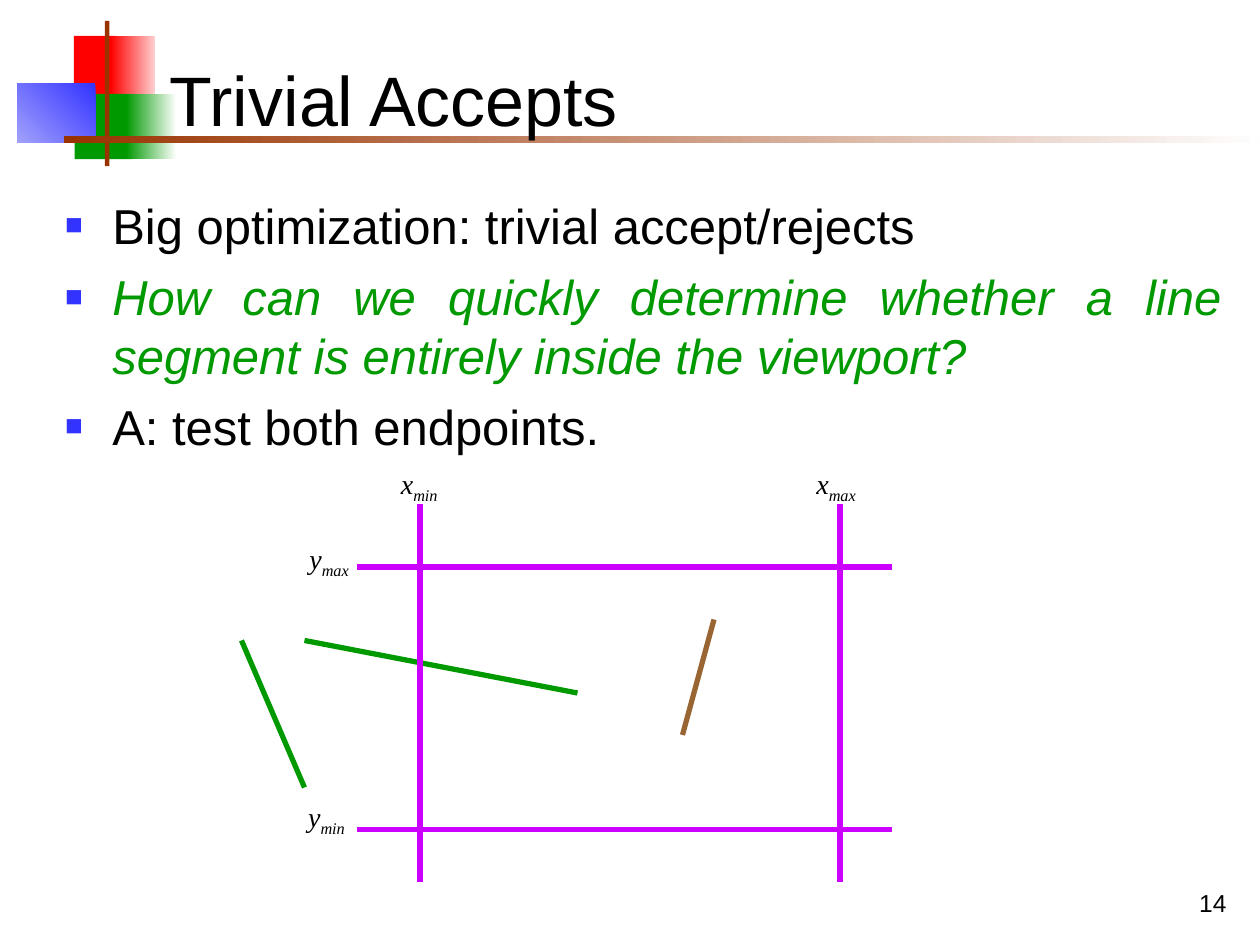
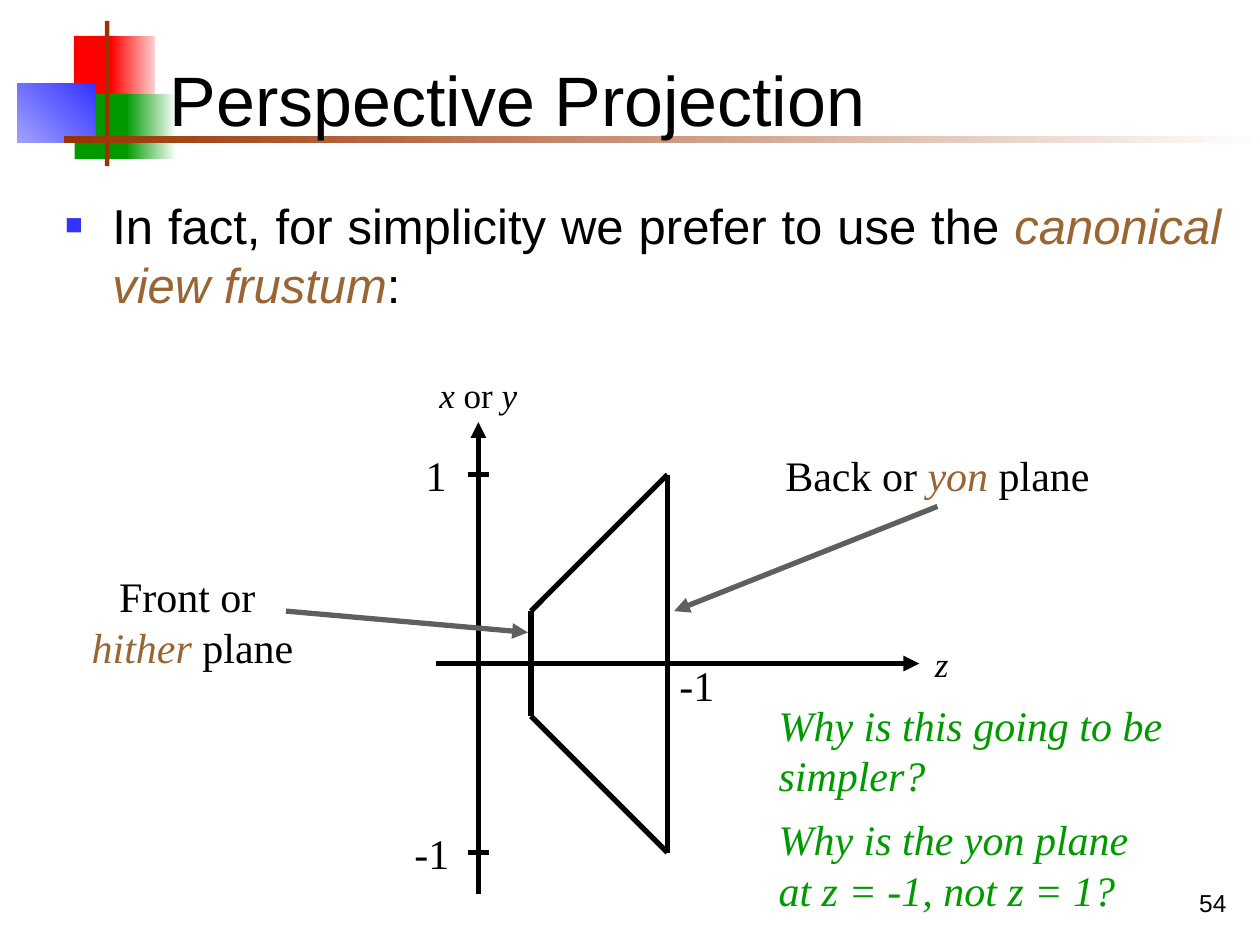
from pptx import Presentation
from pptx.dml.color import RGBColor
from pptx.enum.shapes import MSO_CONNECTOR, MSO_SHAPE
from pptx.enum.text import MSO_ANCHOR, MSO_AUTO_SIZE, PP_ALIGN
from pptx.oxml.ns import qn
from pptx.util import Pt
from lxml.etree import SubElement

BLACK = RGBColor(0x00, 0x00, 0x00)
RED = RGBColor(0xFF, 0x00, 0x00)
PALE_RED = RGBColor(0xFE, 0xD0, 0xD0)
GREEN = RGBColor(0x00, 0x99, 0x00)
WHITE = RGBColor(0xFF, 0xFF, 0xFF)
BLUE = RGBColor(0x33, 0x33, 0xFF)
PALE_BLUE = RGBColor(0xA1, 0xA1, 0xFE)
RUST = RGBColor(0x99, 0x33, 0x00)
OFF_WHITE = RGBColor(0xFE, 0xFE, 0xFE)
BROWN = RGBColor(0x99, 0x66, 0x33)
MAGENTA = RGBColor(0xCC, 0x00, 0xFF)
GRAY = RGBColor(0x5F, 0x5F, 0x5F)

SANS, SERIF = "Arial", "Times New Roman"
LEFT, CENTER, RIGHT = PP_ALIGN.LEFT, PP_ALIGN.CENTER, PP_ALIGN.RIGHT
TOP, MIDDLE, BOTTOM = MSO_ANCHOR.TOP, MSO_ANCHOR.MIDDLE, MSO_ANCHOR.BOTTOM

PLAIN = {}
ITALIC = {"italic": True}
SUBSCRIPT = {"italic": True, "subscript": True}
QUESTION = {"italic": True, "color": GREEN}
TERM = {"italic": True, "color": BROWN}
BREAK = ("\n", PLAIN)

TITLE_BOX = (89.7, 18, 613.5, 66)
BODY_BOX = (30, 108, 675, 414)
NUMBER_BOX = (558, 492, 150, 36)

ORNAMENT = [
    ((42.2, 20.5, 24.5, 37.5), [RED], 0),
    ((63.2, 20.5, 25.5, 37.5), [PALE_RED, RED], 180),
    ((42.7, 53.7, 33, 37.3), [GREEN], 0),
    ((72, 53.7, 28.8, 37.3), [WHITE, GREEN], 180),
    ((10, 47.5, 44.5, 34), [BLUE, PALE_BLUE], 225),
    ((60, 12, 2.5, 83), [RUST], 0),
    ((36.5, 77.8, 683.5, 4), [OFF_WHITE, RUST], 180),
]

ACCEPTS = {
    "title": "Trivial Accepts",
    "number": "14",
    "bullets": [
        [("Big optimization: trivial accept/rejects", PLAIN)],
        [("How can we quickly determine whether a line segment is entirely "
          "inside the viewport?", QUESTION)],
        [("A: test both endpoints.", PLAIN)],
    ],
}
SEGMENTS = [
    ((138, 366), (174, 450), GREEN),
    ((174, 366), (330, 396), GREEN),
    ((390, 420), (408, 354), BROWN),
]
VIEWPORT_X, VIEWPORT_Y = (240, 480), (324, 474)
EDGE_SPAN_X, EDGE_SPAN_Y = (204, 510), (504, 288)
BOUND_LABELS = [
    ("x", "min", (222, 262.8)),
    ("x", "max", (459.4, 262.8)),
    ("y", "max", (169.7, 306)),
    ("y", "min", (169, 453.6)),
]

PROJECTION = {
    "title": "Perspective Projection",
    "number": "54",
    "bullets": [
        [("In fact, for simplicity we prefer to use the ", PLAIN),
         ("canonical view frustum", TERM), (":", PLAIN)],
    ],
}
ORIGIN_X, ORIGIN_Y = 273.4, 379.2
YON, HITHER, TICK = 108, 30, 6.2
AXES = [((249, ORIGIN_Y), (525.3, ORIGIN_Y)), ((ORIGIN_X, 511), (ORIGIN_X, 241.2))]
CALLOUT_ARROWS = [((163.4, 349.2), (301.7, 361.4)), ((535.7, 289.4), (385.2, 349.2))]
FRUSTUM_LABELS = [
    ((243.8, 209.8, 59, 31.7), 20, CENTER, [("x", ITALIC), (" or ", PLAIN), ("y", ITALIC)]),
    ((236.2, 253.4, 25.9, 36), 24, CENTER, [("1", PLAIN)]),
    ((229.5, 469.4, 34.6, 36), 24, CENTER, [("-1", PLAIN)]),
    ((527, 363.2, 22.3, 31.7), 20, CENTER, [("z", ITALIC)]),
    ((380.9, 373, 34.6, 36), 24, CENTER, [("-1", PLAIN)]),
    ((44, 322.6, 132, 64.8), 24, CENTER,
     [("Front or ", PLAIN), BREAK, ("hither", TERM), (" plane", PLAIN)]),
    ((440.7, 253.4, 190, 36), 24, CENTER,
     [("Back or ", PLAIN), ("yon", TERM), (" plane", PLAIN)]),
    ((437.8, 396, 235, 64.8), 24, LEFT,
     [("Why is this going to be", QUESTION), BREAK, ("simpler?", QUESTION)]),
    ((437.8, 461.5, 215.5, 64.8), 24, LEFT,
     [("Why is the yon plane", QUESTION), BREAK, ("at z = -1, not z = 1?", QUESTION)]),
]


def add_runs(paragraph, runs, font_name, size):
    for text, style in runs:
        if text == "\n":
            paragraph.add_line_break()
            continue
        run = paragraph.add_run()
        run.text = text
        run.font.name = font_name
        run.font.size = Pt(size)
        run.font.italic = style.get("italic", False)
        run.font.color.rgb = style.get("color", BLACK)
        if style.get("subscript"):
            run._r.get_or_add_rPr().set("baseline", "-25000")


def place(shape, box):
    shape.left, shape.top, shape.width, shape.height = map(Pt, box)


def add_label(slide, box, runs, size, align=LEFT, anchor=MIDDLE, font_name=SERIF, wrap=False):
    frame = slide.shapes.add_textbox(*map(Pt, box)).text_frame
    frame.word_wrap = wrap
    frame.auto_size = MSO_AUTO_SIZE.NONE if wrap else MSO_AUTO_SIZE.SHAPE_TO_FIT_TEXT
    frame.vertical_anchor = anchor
    paragraph = frame.paragraphs[0]
    paragraph.alignment = align
    add_runs(paragraph, runs, font_name, size)


def add_line(slide, start, end, color, arrow=False):
    line = slide.shapes.add_connector(MSO_CONNECTOR.STRAIGHT, *map(Pt, (*start, *end)))
    line.line.color.rgb = color
    line.line.width = Pt(3)
    properties = line.element.spPr
    if arrow:
        SubElement(properties.find(qn("a:ln")), qn("a:tailEnd"), type="triangle")
    SubElement(properties, qn("a:effectLst"))


def add_ornament(slide):
    for depth, (box, colors, angle) in enumerate(ORNAMENT):
        block = slide.shapes.add_shape(MSO_SHAPE.RECTANGLE, *map(Pt, box))
        block.shadow.inherit = False
        block.line.fill.background()
        if len(colors) == 1:
            block.fill.solid()
            block.fill.fore_color.rgb = colors[0]
        else:
            block.fill.gradient()
            block.fill.gradient_angle = angle
            for stop, color in zip(block.fill.gradient_stops, colors):
                stop.color.rgb = color
        slide.shapes.element.insert(2 + depth, block.element)


def add_square_bullet(paragraph):
    properties = paragraph._p.get_or_add_pPr()
    bullet_color = SubElement(properties, qn("a:buClr"))
    SubElement(bullet_color, qn("a:srgbClr"), val=str(BLUE))
    SubElement(properties, qn("a:buSzPct"), val="60000")
    SubElement(properties, qn("a:buFont"), typeface=SANS)
    SubElement(properties, qn("a:buChar"), char="■")


def add_base_slide(deck, content):
    slide = deck.slides.add_slide(deck.slide_layouts[1])
    add_ornament(slide)

    title, body = slide.shapes.title, slide.placeholders[1]
    for holder, box, anchor in ((title, TITLE_BOX, BOTTOM), (body, BODY_BOX, TOP)):
        place(holder, box)
        holder.text_frame.auto_size = MSO_AUTO_SIZE.NONE
        holder.text_frame.vertical_anchor = anchor

    heading = title.text_frame.paragraphs[0]
    heading.alignment = LEFT
    add_runs(heading, [(content["title"], PLAIN)], SANS, 40)

    for index, runs in enumerate(content["bullets"]):
        frame = body.text_frame
        paragraph = frame.add_paragraph() if index else frame.paragraphs[0]
        paragraph.alignment = PP_ALIGN.JUSTIFY
        paragraph.space_before = Pt(7)
        add_square_bullet(paragraph)
        add_runs(paragraph, runs, SANS, 28)

    add_label(slide, NUMBER_BOX, [(content["number"], PLAIN)], 14, RIGHT, BOTTOM, SANS, True)
    return slide


def draw_viewport(slide):
    for start, end, color in SEGMENTS:
        add_line(slide, start, end, color)
    for y in VIEWPORT_Y:
        add_line(slide, (EDGE_SPAN_X[0], y), (EDGE_SPAN_X[1], y), MAGENTA)
    for x in VIEWPORT_X:
        add_line(slide, (x, EDGE_SPAN_Y[0]), (x, EDGE_SPAN_Y[1]), MAGENTA)
    for axis, bound, corner in BOUND_LABELS:
        add_label(slide, (*corner, 37.5, 29.5), [(axis, ITALIC), (bound, SUBSCRIPT)], 16, anchor=TOP)


def draw_frustum(slide):
    for start, end in AXES:
        add_line(slide, start, end, BLACK, arrow=True)
    for sign in (-1, 1):
        tick_y = ORIGIN_Y + sign * YON
        add_line(slide, (ORIGIN_X - TICK, tick_y), (ORIGIN_X + TICK, tick_y), BLACK)
        add_line(slide, (ORIGIN_X + HITHER, ORIGIN_Y + sign * HITHER),
                 (ORIGIN_X + YON, tick_y), BLACK)
    for depth in (HITHER, YON):
        x = ORIGIN_X + depth
        add_line(slide, (x, ORIGIN_Y - depth), (x, ORIGIN_Y + depth), BLACK)
    for start, end in CALLOUT_ARROWS:
        add_line(slide, start, end, GRAY, arrow=True)
    for box, size, align, runs in FRUSTUM_LABELS:
        add_label(slide, box, runs, size, align)


def main():
    deck = Presentation()
    deck.slide_width, deck.slide_height = Pt(720), Pt(540)
    draw_viewport(add_base_slide(deck, ACCEPTS))
    draw_frustum(add_base_slide(deck, PROJECTION))
    deck.save("out.pptx")


if __name__ == "__main__":
    main()
